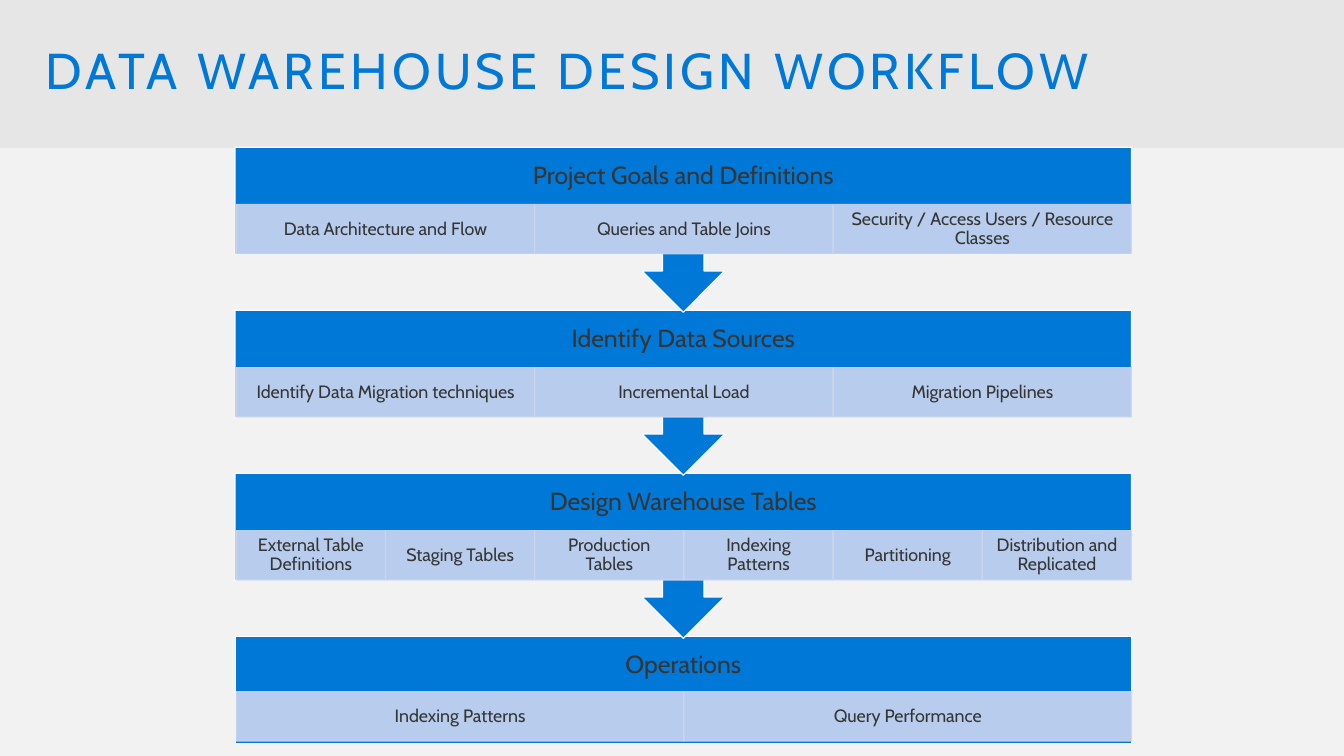
from dataclasses import dataclass

from pptx import Presentation
from pptx.dml.color import RGBColor
from pptx.enum.shapes import MSO_SHAPE as Shape
from pptx.enum.text import MSO_ANCHOR as Anchor, MSO_AUTO_SIZE as AutoSize, PP_ALIGN as Align
from pptx.oxml.ns import qn
from pptx.oxml.xmlchemy import OxmlElement
from pptx.util import Emu, Pt

EMU_PER_PX = 9144  # 100 px to the inch


def px(length):
    return Emu(int(length * EMU_PER_PX))


@dataclass(frozen=True)
class Theme:
    font: str = "Cabin"
    header_band: str = "E6E6E6"
    body: str = "F2F2F2"
    accent: str = "0078D7"
    task: str = "CCD6F0"
    outline: str = "FFFFFF"
    text: str = "353535"
    title_size: float = 36.7
    stage_size: float = 18
    task_size: float = 13
    line_width: float = 0.85
    task_opacity: int = 90


def write_text(shape, text, *, font, size, color, align=Align.CENTER,
               insets=(0, 0, 0, 0), spacing=None):
    """Insets are left, top, right, bottom in px; spacing is in points."""
    frame = shape.text_frame
    frame.word_wrap = True
    frame.auto_size = AutoSize.NONE
    frame.vertical_anchor = Anchor.MIDDLE
    (frame.margin_left, frame.margin_top,
     frame.margin_right, frame.margin_bottom) = map(px, insets)
    paragraph = frame.paragraphs[0]
    paragraph.alignment = align
    paragraph.line_spacing = 0.9
    run = paragraph.add_run()
    run.text = text
    run.font.name = font
    run.font.size = Pt(size)
    run.font.color.rgb = RGBColor.from_string(color)
    if spacing:
        run.font._element.set("spc", str(int(spacing * 100)))


class WorkflowSlide:
    def __init__(self, deck, theme):
        self.theme = theme
        self.slide = deck.slides.add_slide(deck.slide_layouts[5])

    def background(self, color):
        fill = self.slide.background.fill
        fill.solid()
        fill.fore_color.rgb = RGBColor.from_string(color)

    def title(self, text, left, top, width, height):
        heading = self.slide.shapes.title
        heading.left, heading.top = px(left), px(top)
        heading.width, heading.height = px(width), px(height)
        write_text(heading, text, font=self.theme.font, size=self.theme.title_size,
                   color=self.theme.accent, align=Align.LEFT,
                   insets=(16, 10, 16, 10), spacing=3.1)

    def block(self, kind, left, top, width, height, fill, line=None, opacity=100):
        block = self.slide.shapes.add_shape(kind, px(left), px(top), px(width), px(height))
        block.shadow.inherit = False
        block.fill.solid()
        block.fill.fore_color.rgb = RGBColor.from_string(fill)
        if line:
            block.line.color.rgb = RGBColor.from_string(line)
            block.line.width = Pt(self.theme.line_width)
        else:
            block.line.fill.background()
        if opacity < 100:
            for color in block._element.spPr.iter(qn("a:srgbClr")):
                alpha = OxmlElement("a:alpha")
                alpha.set("val", str(opacity * 1000))
                color.append(alpha)
        return block

    def stage(self, name, kind, left, top, width, height):
        stage = self.block(kind, left, top, width, height,
                           self.theme.accent, self.theme.outline)
        # The deep bottom inset keeps the name above the task row
        write_text(stage, name, font=self.theme.font, size=self.theme.stage_size,
                   color=self.theme.text, insets=(14, 14, 14, 63))

    def task_row(self, tasks, left, top, width, height):
        task_width = width / len(tasks)
        for column, name in enumerate(tasks):
            task = self.block(Shape.RECTANGLE, left + column * task_width, top,
                              task_width, height, self.theme.task, self.theme.task,
                              self.theme.task_opacity)
            write_text(task, name, font=self.theme.font, size=self.theme.task_size,
                       color=self.theme.text, insets=(10, 2, 10, 2))


STAGES = [
    ("Project Goals and Definitions",
     ["Data Architecture and Flow", "Queries and Table Joins",
      "Security / Access Users / Resource Classes"]),
    ("Identify Data Sources",
     ["Identify Data Migration techniques", "Incremental Load", "Migration Pipelines"]),
    ("Design Warehouse Tables",
     ["External Table Definitions", "Staging Tables", "Production Tables",
      "Indexing Patterns", "Partitioning", "Distribution and Replicated"]),
    ("Operations", ["Indexing Patterns", "Query Performance"]),
]
FIRST_TOP, STAGE_PITCH = 149, 165


def main():
    deck = Presentation()
    deck.slide_width, deck.slide_height = px(1360), px(765)
    theme = Theme()
    workflow = WorkflowSlide(deck, theme)

    # Title band and body panel
    workflow.background(theme.header_band)
    workflow.block(Shape.RECTANGLE, 0, 150, 1360, 615, theme.body)
    workflow.title("DATA WAREHOUSE DESIGN WORKFLOW", 30, 32, 1300, 85)

    # Stages from the last up, so each arrow tip lies over the next stage
    last = len(STAGES) - 1
    for index, (name, tasks) in reversed(list(enumerate(STAGES))):
        top = FIRST_TOP + index * STAGE_PITCH
        if index == last:
            kind, height, task_offset = Shape.RECTANGLE, 108, 56
        else:
            kind, height, task_offset = Shape.DOWN_ARROW_CALLOUT, 167, 58
        workflow.stage(name, kind, 238, top, 907, height)
        workflow.task_row(tasks, 239, top + task_offset, 906, 50)

    deck.save("out.pptx")


if __name__ == "__main__":
    main()
